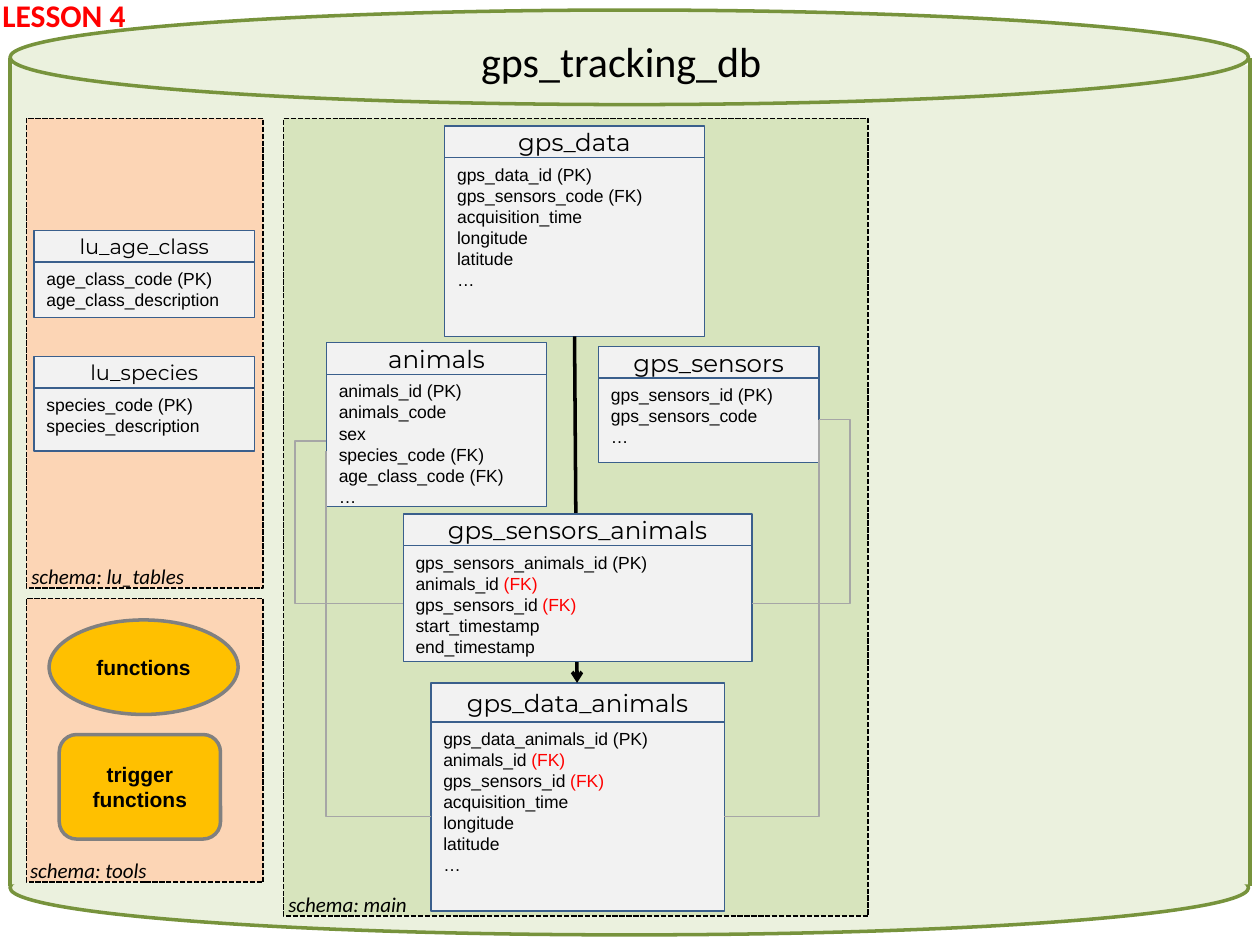
from lxml import etree
from pptx import Presentation
from pptx.dml.color import RGBColor
from pptx.enum.dml import MSO_LINE
from pptx.enum.shapes import MSO_CONNECTOR, MSO_SHAPE
from pptx.enum.text import MSO_ANCHOR, PP_ALIGN
from pptx.oxml.ns import qn
from pptx.util import Inches, Pt

RECT, OVAL, ROUND = MSO_SHAPE.RECTANGLE, MSO_SHAPE.OVAL, MSO_SHAPE.ROUNDED_RECTANGLE
STRAIGHT, ELBOW = MSO_CONNECTOR.STRAIGHT, MSO_CONNECTOR.ELBOW
TOP, MIDDLE = MSO_ANCHOR.TOP, MSO_ANCHOR.MIDDLE
LEFT, CENTER = PP_ALIGN.LEFT, PP_ALIGN.CENTER
DASH = MSO_LINE.SQUARE_DOT

COLORS = {
    "db": "EBF1DE", "db_line": "77933C", "main": "D7E4BD", "side": "FCD5B5",
    "table": "F2F2F2", "table_line": "3A5F8C", "tool": "FFC000",
    "tool_line": "808080", "link": "A6A6A6", "black": "000000", "red": "FF0000",
}
RED_FK = "*"


def rgb(name):
    return RGBColor.from_string(COLORS[name])


def add_box(s, kind, box, fill, line=None, width=1, dash=None):
    sp = s.shapes.add_shape(kind, *map(Inches, box))
    sp.shadow.inherit = False
    sp.fill.solid()
    sp.fill.fore_color.rgb = rgb(fill)
    if line:
        sp.line.color.rgb = rgb(line)
        sp.line.width = Pt(width)
        if dash:
            sp.line.dash_style = dash
    else:
        sp.line.fill.background()
    return sp


def write(sp, lines, size, font, align=LEFT, anchor=TOP, color="black", bold=False, italic=False):
    tf = sp.text_frame
    tf.word_wrap = True
    tf.vertical_anchor = anchor
    for i, line in enumerate(lines):
        p = tf.add_paragraph() if i else tf.paragraphs[0]
        p.alignment = align
        p.font.size, p.font.name = Pt(size), font
        p.font.bold, p.font.italic = bold, italic
        p.font.color.rgb = rgb(color)
        r = p.add_run()
        r.text = line.replace(RED_FK, " ")
        if line.endswith(RED_FK):
            r = p.add_run()
            r.text = "(FK)"
            r.font.color.rgb = rgb("red")


def add_label(s, text, box, size, **style):
    sp = s.shapes.add_textbox(*map(Inches, box))
    write(sp, [text], size, "Calibri", **style)


def add_line(s, kind, start, end, color, width, adj=None, arrow=False):
    c = s.shapes.add_connector(kind, *map(Inches, start + end))
    c.line.color.rgb = rgb(color)
    c.line.width = Pt(width)
    sp_pr = c._element.spPr
    if adj is not None:
        av = sp_pr.find(qn("a:prstGeom")).get_or_add_avLst()
        etree.SubElement(av, qn("a:gd"), name="adj1", fmla=f"val {round(adj * 100000)}")
    if arrow:
        etree.SubElement(sp_pr.find(qn("a:ln")), qn("a:tailEnd"), type="arrow")
    etree.SubElement(sp_pr, qn("a:effectLst"))


def add_db_table(s, name, left, top, width, height, fields, head=0.25, size=14):
    body = add_box(s, RECT, (left, top + head, width, height - head), "table", "table_line", 0.75)
    write(body, fields, 10, "Arial")
    title = add_box(s, RECT, (left, top, width, head), "table", "table_line", 0.75)
    write(title, [name], size, "Montserrat", CENTER, MIDDLE)


def add_database(s):
    left, right, width = 0.08, 9.92, 9.83
    add_box(s, OVAL, (left, 6.67, width, 0.75), "db", "db_line", 2)
    add_box(s, RECT, (left, 0.52, width, 6.5), "db")
    add_box(s, OVAL, (left, 0.08, width, 0.75), "db", "db_line", 2)
    for x in (left, right):
        add_line(s, STRAIGHT, (x, 0.46), (x, 7.03), "db_line", 2.5)
    add_label(s, "gps_tracking_db", (3.72, 0.23, 2.56, 0.5), 24)


def add_schemas(s):
    for name, box, fill, label in (
        ("main", (2.25, 0.94, 4.64, 6.33), "main", (2.19, 7.03, 1.33, 0.3)),
        ("lu_tables", (0.21, 0.94, 1.88, 3.73), "side", (0.15, 4.42, 1.6, 0.3)),
        ("tools", (0.21, 4.75, 1.88, 2.25), "side", (0.14, 6.76, 1.33, 0.3)),
    ):
        add_box(s, RECT, box, fill, "black", 1, DASH)
        add_label(s, f"schema: {name}", label, 12, italic=True)


def add_main_tables(s):
    position = ["acquisition_time", "longitude", "latitude", "…"]
    keys = ["animals_id" + RED_FK, "gps_sensors_id" + RED_FK]
    add_db_table(s, "gps_data", 3.53, 1, 2.06, 1.67,
                 ["gps_data_id (PK)", "gps_sensors_code (FK)"] + position)
    add_db_table(s, "gps_data_animals", 3.42, 5.42, 2.33, 1.81,
                 ["gps_data_animals_id (PK)"] + keys + position, head=0.31)
    add_db_table(s, "animals", 2.59, 2.72, 1.75, 1.3,
                 ["animals_id (PK)", "animals_code", "sex", "species_code (FK)",
                  "age_class_code (FK)", "…"])
    add_db_table(s, "gps_sensors", 4.75, 2.75, 1.75, 0.92,
                 ["gps_sensors_id (PK)", "gps_sensors_code", "…"])
    add_line(s, STRAIGHT, (4.56, 2.67), (4.58, 5.42), "black", 2, arrow=True)
    add_db_table(s, "gps_sensors_animals", 3.2, 4.08, 2.77, 1.17,
                 ["gps_sensors_animals_id (PK)"] + keys + ["start_timestamp", "end_timestamp"])


def add_links(s):
    for start, end, adj in (
        ((2.59, 3.5), (3.2, 4.79), -0.41),
        ((6.5, 3.33), (5.97, 4.79), -0.47),
        ((6.5, 3.33), (5.75, 6.48), 0),
        ((2.59, 3.58), (3.42, 6.48), 0),
    ):
        add_line(s, ELBOW, start, end, "link", 1, adj)


def add_tools(s):
    for kind, box, text in (
        (OVAL, (0.39, 4.92, 1.5, 0.75), "functions"),
        (ROUND, (0.47, 5.83, 1.28, 0.83), "trigger functions"),
    ):
        sp = add_box(s, kind, box, "tool", "tool_line", 2)
        write(sp, [text], 12, "Arial", CENTER, MIDDLE, bold=True)


def main():
    prs = Presentation()
    prs.slide_width, prs.slide_height = Inches(10), Inches(7.5)
    s = prs.slides.add_slide(prs.slide_layouts[6])
    add_database(s)
    add_schemas(s)
    add_main_tables(s)
    add_links(s)
    add_db_table(s, "lu_age_class", 0.27, 1.83, 1.75, 0.69,
                 ["age_class_code (PK)", "age_class_description"], size=12)
    add_db_table(s, "lu_species", 0.27, 2.83, 1.75, 0.75,
                 ["species_code (PK)", "species_description"], size=12)
    add_tools(s)
    add_label(s, "LESSON 4", (-0.08, -0.08, 1.33, 0.4), 18, color="red", bold=True)
    prs.save("out.pptx")


main()
